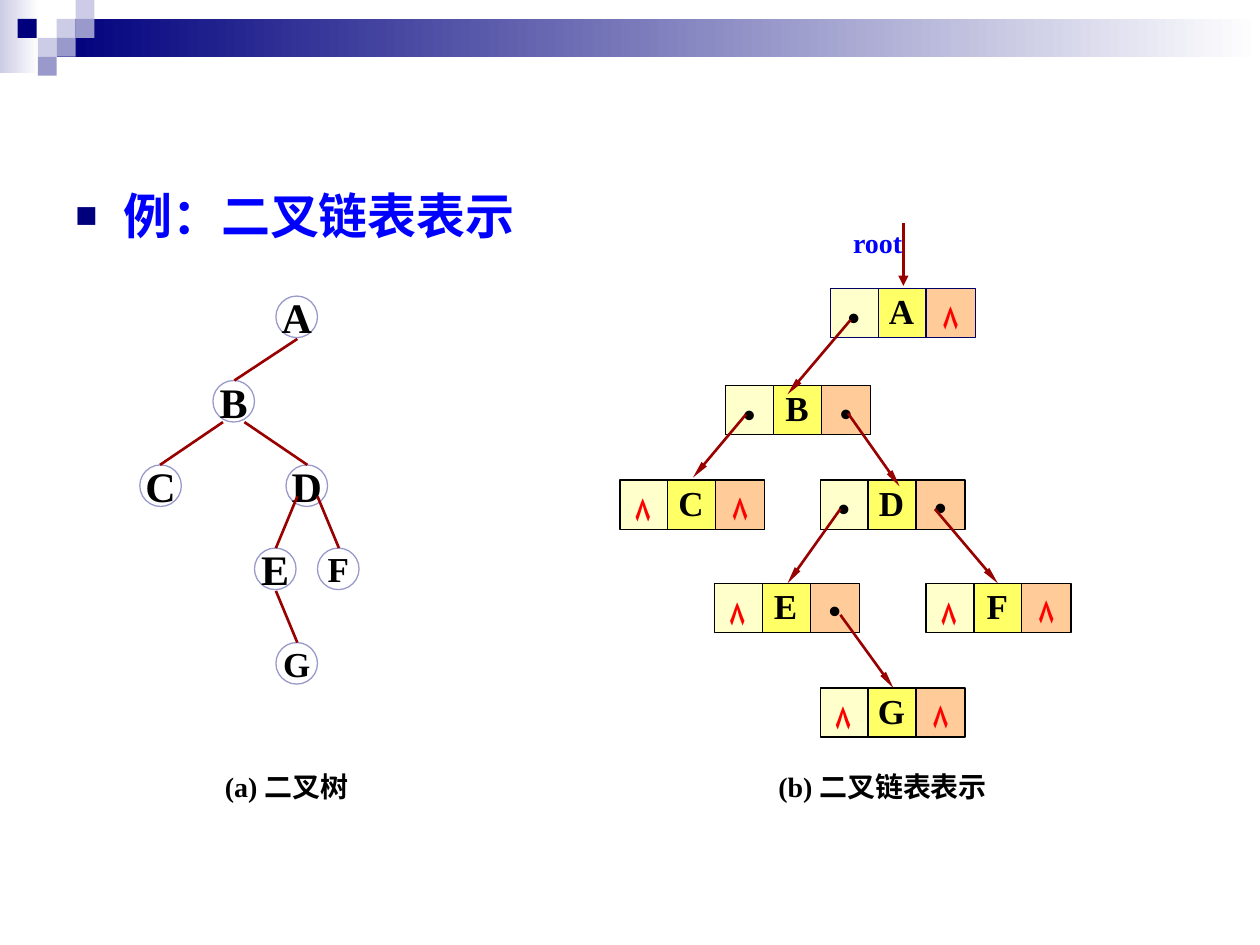
import pptx
import pptx.util
import pptx.dml.color
import pptx.enum.shapes
import pptx.enum.text
import pptx.oxml
import pptx.oxml.ns

Inches = pptx.util.Inches
Pt = pptx.util.Pt
KIND = pptx.enum.shapes.MSO_SHAPE
ALIGN = pptx.enum.text.PP_ALIGN
MIDDLE = pptx.enum.text.MSO_ANCHOR.MIDDLE

COLORS = {
    "navy": "00007D", "pale": "CCCCE6", "lilac": "9999CC", "white": "FFFFFF",
    "blue": "0000FF", "black": "000000", "red": "FF0000", "edge": "990000",
    "frame": "000066", "cream": "FFFFCC", "yellow": "FFFF66", "peach": "FFCC99",
}
SERIF = "Times New Roman"
DOT, NIL = "•", "۸"

# Header squares: left, top, color
TILES = [
    (0.45, 0.15, "pale"), (0.6, 0, "pale"), (0.6, 0.15, "lilac"),
    (0.3, 0.3, "pale"), (0.14, 0.15, "navy"), (0.45, 0.3, "lilac"),
    (0.3, 0.45, "lilac"),
]
# Tree nodes: letter, left, top, text size
NODES = [
    ("A", 2.19, 2.35, 24), ("B", 1.69, 3.02, 24), ("D", 2.27, 3.69, 24),
    ("C", 1.11, 3.69, 24), ("G", 2.19, 5.1, 20), ("E", 2.02, 4.35, 24),
    ("F", 2.52, 4.35, 20),
]
EDGES = [
    (1.77, 3.35, 1.27, 3.69), (1.94, 3.35, 2.44, 3.69),
    (2.36, 3.94, 2.19, 4.35), (2.52, 3.94, 2.69, 4.35),
    (2.19, 4.69, 2.36, 5.1), (2.36, 2.69, 1.86, 3.02),
]
# List records: letter, left, top, left link, right link, border
RECORDS = [
    ("A", 6.59, 2.29, DOT, NIL, "frame"), ("B", 5.76, 3.06, DOT, DOT, "black"),
    ("C", 4.92, 3.81, NIL, NIL, "black"), ("D", 6.51, 3.81, DOT, DOT, "black"),
    ("E", 5.67, 4.63, NIL, DOT, "black"), ("F", 7.35, 4.63, NIL, NIL, "black"),
    ("G", 6.51, 5.46, NIL, NIL, "black"),
]
LINKS = [
    (6.75, 2.54, 6.25, 3.13), (5.92, 3.29, 5.5, 3.79),
    (6.73, 3.28, 7.14, 3.86), (6.67, 4.88, 7.09, 5.46),
    (7.42, 4.04, 7.92, 4.63), (6.67, 4.04, 6.25, 4.63),
]


def color(name):
    return pptx.dml.color.RGBColor.from_string(COLORS[name])


def assign(thing, values):
    for key, value in values.items():
        setattr(thing, key, value)


def element(parent, tag, **attrs):
    node = pptx.oxml.parse_xml(f"<{tag} {pptx.oxml.ns.nsdecls('a')}/>")
    for key, value in attrs.items():
        node.set(key, value)
    parent.append(node)


def write(shape, text, size, ink, font=SERIF, align=ALIGN.CENTER, **frame):
    assign(shape.text_frame, {"word_wrap": True, **frame})
    par = shape.text_frame.paragraphs[0]
    par.alignment = align
    run = par.add_run()
    run.text = text
    assign(run.font, {"name": font, "size": Pt(size), "bold": True})
    run.font.color.rgb = color(ink)
    return par


def draw(shapes, kind, box, fill, border=None):
    shape = shapes.add_shape(kind, *map(Inches, box))
    shape.shadow.inherit = False
    if isinstance(fill, tuple):
        shape.fill.gradient()
        shape.fill.gradient_angle = 0
        for stop, name in zip(shape.fill.gradient_stops, fill):
            stop.color.rgb = color(name)
    else:
        shape.fill.solid()
        shape.fill.fore_color.rgb = color(fill)
    if border:
        shape.line.color.rgb = color(border)
        shape.line.width = Pt(0.75)
    else:
        shape.line.fill.background()
    return shape


def join(shapes, ends, head=None):
    line = shapes.add_connector(
        pptx.enum.shapes.MSO_CONNECTOR.STRAIGHT, *map(Inches, ends))
    line.line.color.rgb = color("edge")
    line.line.width = Pt(1.5)
    if head:
        width, length = head
        element(line.line._get_or_add_ln(), "a:tailEnd",
                type="triangle", w=width, len=length)
    element(line._element.spPr, "a:effectLst")


def label(shapes, box, text, size, ink, **style):
    return write(shapes.add_textbox(*map(Inches, box)), text, size, ink, **style)


def header(shapes):
    draw(shapes, KIND.RECTANGLE, (0, 0, 0.31, 0.58), ("pale", "white"))
    draw(shapes, KIND.RECTANGLE, (0.45, 0.15, 9.55, 0.3), ("navy", "white"))
    for left, top, fill in TILES:
        draw(shapes, KIND.RECTANGLE, (left, top, 0.15, 0.15), fill)


def title(shapes):
    par = label(shapes, (0.5, 1.42, 9, 5.33), "例：二叉链表表示", 28, "blue",
                font="Arial", align=ALIGN.LEFT)
    props = par._p.get_or_add_pPr()
    props.set("marL", str(Inches(0.38)))
    props.set("indent", str(Inches(-0.38)))
    element(props, "a:buClr")
    element(props[-1], "a:srgbClr", val=COLORS["navy"])
    element(props, "a:buSzPct", val="75000")
    element(props, "a:buFont", typeface="Arial")
    element(props, "a:buChar", char="■")


def tree(shapes):
    for letter, left, top, size in NODES:
        node = draw(shapes, KIND.OVAL, (left, top, 0.33, 0.33), "white", "lilac")
        write(node, letter, size, "black", word_wrap=False,
              vertical_anchor=MIDDLE)
    for ends in EDGES:
        join(shapes, ends)


def record(shapes, letter, left, top, prev, succ, border):
    # Each cell: text, offset, width, fill, left inset, top inset
    cells = [
        (letter, 0.37, 0.39, "yellow", 0.1, 0.01),
        (succ, 0.76, 0.39, "peach", 0.1, 0.08),
        (prev + " ", 0, 0.38, "cream", 0.16, 0.1),
    ]
    for text, shift, width, fill, inset, drop in cells:
        cell = draw(shapes, KIND.RECTANGLE, (left + shift, top, width, 0.39),
                    fill, border)
        write(cell, text, 20, "red" if NIL in text else "black",
              word_wrap=False, vertical_anchor=MIDDLE,
              margin_left=Inches(inset), margin_top=Inches(drop))


def chain(shapes):
    for item in RECORDS:
        record(shapes, *item)
    for ends in LINKS:
        join(shapes, ends, ("sm", "lg"))
    label(shapes, (6.59, 1.74, 0.75, 0.37), "root", 16, "blue")
    join(shapes, (7.17, 1.77, 7.17, 2.27), ("med", "med"))


def main():
    deck = pptx.Presentation()
    assign(deck, {"slide_width": Inches(10), "slide_height": Inches(7.5)})
    shapes = deck.slides.add_slide(deck.slide_layouts[6]).shapes

    # Header band and heading
    header(shapes.add_group_shape().shapes)
    title(shapes)
    # Captions
    label(shapes, (1.36, 6.06, 1.83, 0.37), "(a) 二叉树", 16, "black")
    label(shapes, (5.92, 6.06, 2.17, 0.37), "(b) 二叉链表表示", 16, "black")
    # Binary tree and its linked list
    tree(shapes.add_group_shape().shapes)
    chain(shapes.add_group_shape().shapes)

    deck.save("out.pptx")


if __name__ == "__main__":
    main()
